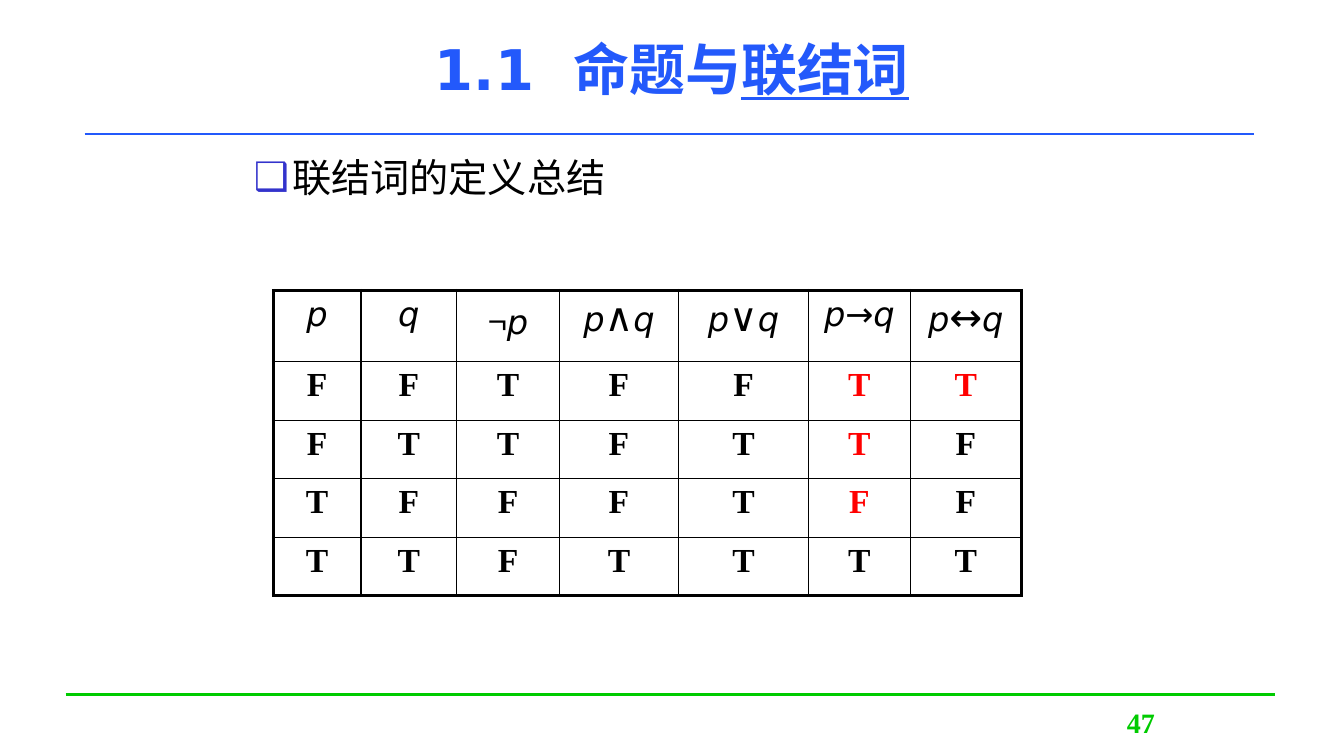
import dataclasses
import typing

import lxml.etree
import pptx
import pptx.dml.color
import pptx.enum.shapes
import pptx.enum.text
import pptx.oxml.ns
import pptx.util

Inches = pptx.util.Inches
Pt = pptx.util.Pt
qn = pptx.oxml.ns.qn
ALIGN = pptx.enum.text.PP_ALIGN
ANCHOR = pptx.enum.text.MSO_ANCHOR


@dataclasses.dataclass(frozen=True)
class Theme:
    blue: str = "2359FB"
    green: str = "00CB00"
    bullet: str = "3333CC"
    black: str = "000000"
    red: str = "FF0000"
    sans: str = "DejaVu Sans"
    serif: str = "Times New Roman"
    cjk: str = "Noto Sans CJK SC"
    title: int = 40
    body: int = 28
    symbol: int = 28
    cell: int = 24
    number: int = 20
    rule: float = 2
    thin: float = 1
    thick: float = 2.25


T = Theme()


class Rule(typing.NamedTuple):
    left: float
    right: float
    y: float
    color: str


class Heading(typing.NamedTuple):
    before: str
    symbol: str = ""
    after: str = ""
    size: int = T.symbol
    font: str = T.sans


RULES = [Rule(0.65, 12.65, 6.89, T.green), Rule(0.84, 12.44, 1.33, T.blue)]
HEADINGS = [
    Heading("p"),
    Heading("q"),
    Heading("", "¬", "p", T.cell, T.cjk),
    Heading("p", "∧", "q"),
    Heading("p", "∨", "q"),
    Heading("p", "→", "q", T.cell),
    Heading("p", "↔", "q"),
]
TRUTH_ROWS = ["FFTFFTT", "FTTFTTF", "TFFFTFF", "TTFTTTT"]
RED_CELLS = {(1, 5), (1, 6), (2, 5), (3, 5)}
COL_WIDTHS = [0.87, 0.95, 1.02, 1.18, 1.29, 1.01, 1.1]
ROW_HEIGHTS = [0.71] + [0.58] * len(TRUTH_ROWS)


def add_text(p, text: str, *, size: float, font: str = T.sans, ea: str = "",
             color: str = T.black, bold: bool = False, italic: bool = False,
             underline: bool = False, spacing: float = 0) -> None:
    """Append a formatted run to a paragraph."""
    r = p.add_run()
    r.text = text
    f = r.font
    f.size, f.name = Pt(size), font
    f.bold, f.italic, f.underline = bold, italic, underline
    f.color.rgb = pptx.dml.color.RGBColor.from_string(color)
    rpr = r._r.get_or_add_rPr()
    rpr.find(qn("a:latin")).addnext(
        rpr.makeelement(qn("a:ea"), {"typeface": ea or font}))
    if spacing:
        rpr.set("spc", str(round(spacing * 100)))


def add_box(s, left: float, top: float, width: float, height: float,
            align=ALIGN.LEFT, anchor=ANCHOR.TOP):
    """Add a wrapping text box and return its first paragraph."""
    tf = s.shapes.add_textbox(
        Inches(left), Inches(top), Inches(width), Inches(height)).text_frame
    tf.word_wrap = True
    tf.vertical_anchor = anchor
    p = tf.paragraphs[0]
    p.alignment = align
    return p


def add_rule(s, rule: Rule) -> None:
    """Draw a horizontal rule."""
    line = s.shapes.add_connector(
        pptx.enum.shapes.MSO_CONNECTOR.STRAIGHT, Inches(rule.left),
        Inches(rule.y), Inches(rule.right), Inches(rule.y))
    line.line.width = Pt(T.rule)
    line.line.color.rgb = pptx.dml.color.RGBColor.from_string(rule.color)
    lxml.etree.SubElement(line._element.spPr, qn("a:effectLst"))


def add_bullet(p, char: str, color: str, indent: float) -> None:
    """Give a paragraph a coloured hanging bullet."""
    ppr = p._p.get_or_add_pPr()
    ppr.set("marL", str(Inches(indent)))
    ppr.set("indent", str(-Inches(indent)))
    clr = lxml.etree.SubElement(ppr, qn("a:buClr"))
    lxml.etree.SubElement(clr, qn("a:srgbClr"), val=color)
    lxml.etree.SubElement(ppr, qn("a:buFont"), typeface=T.sans)
    lxml.etree.SubElement(ppr, qn("a:buChar"), char=char)


def style_cell(cell, outer: dict[str, bool]) -> None:
    """Border a cell, thicker on outer sides, and clear its fill."""
    tcpr = cell._tc.get_or_add_tcPr()
    for side, is_outer in outer.items():
        width = Pt(T.thick if is_outer else T.thin)
        ln = lxml.etree.SubElement(tcpr, qn(f"a:ln{side}"), w=str(width))
        fill = lxml.etree.SubElement(ln, qn("a:solidFill"))
        lxml.etree.SubElement(fill, qn("a:srgbClr"), val=T.black)
    cell.fill.background()


def write_heading(p, head: Heading) -> None:
    """Write a formula with italic letters and an upright symbol."""
    if head.before:
        add_text(p, head.before, size=T.cell, italic=True)
    if head.symbol:
        add_text(p, head.symbol, size=head.size, font=head.font)
    if head.after:
        add_text(p, head.after, size=T.cell, italic=True)


def add_truth_table(s, left: float, top: float) -> None:
    """Draw the truth table of the connectives."""
    rows, cols = len(ROW_HEIGHTS), len(COL_WIDTHS)
    table = s.shapes.add_table(
        rows, cols, Inches(left), Inches(top),
        Inches(sum(COL_WIDTHS)), Inches(sum(ROW_HEIGHTS))).table
    table.first_row = table.horz_banding = False
    for col, width in zip(table.columns, COL_WIDTHS):
        col.width = Inches(width)
    for i, height in enumerate(ROW_HEIGHTS):
        table.rows[i].height = Inches(height)
        for j in range(cols):
            cell = table.cell(i, j)
            style_cell(cell, {"L": j == 0, "R": j == cols - 1,
                              "T": i == 0, "B": i == rows - 1})
            p = cell.text_frame.paragraphs[0]
            p.alignment = ALIGN.CENTER
            if i == 0:
                write_heading(p, HEADINGS[j])
            else:
                add_text(p, TRUTH_ROWS[i - 1][j], size=T.cell, font=T.serif,
                         bold=True,
                         color=T.red if (i, j) in RED_CELLS else T.black)


def main() -> None:
    """Build and save the slide."""
    prs = pptx.Presentation()
    prs.slide_width, prs.slide_height = Inches(13.33), Inches(7.5)
    s = prs.slides.add_slide(prs.slide_layouts[6])
    for rule in RULES:
        add_rule(s, rule)

    p = add_box(s, 10.26, 6.95, 2.11, 0.5, ALIGN.CENTER)
    add_text(p, "47", size=T.number, font=T.serif, color=T.green, bold=True)

    p = add_box(s, 1, 0.05, 11.33, 1.25, ALIGN.CENTER, ANCHOR.MIDDLE)
    title = dict(size=T.title, ea=T.cjk, color=T.blue, bold=True)
    add_text(p, "1.1", **title)
    add_text(p, " ", spacing=14, **title)
    add_text(p, "命题与", **title)
    add_text(p, "联结词", underline=True, **title)

    p = add_box(s, 2.42, 1.47, 8.66, 5.35)
    add_bullet(p, "❑", T.bullet, 0.38)
    add_text(p, "联结词的定义总结", size=T.body, font=T.serif, ea=T.cjk)

    add_truth_table(s, 2.71, 2.88)
    prs.save("out.pptx")


if __name__ == "__main__":
    main()
